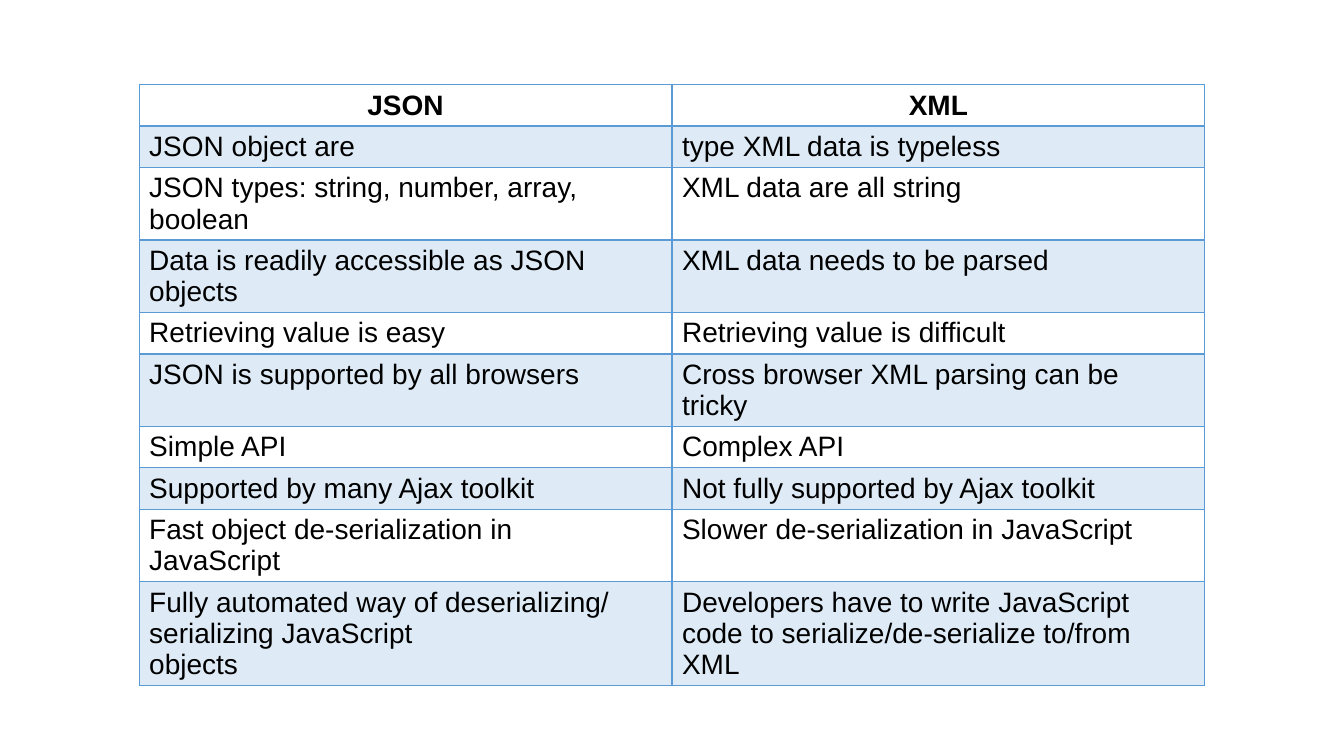
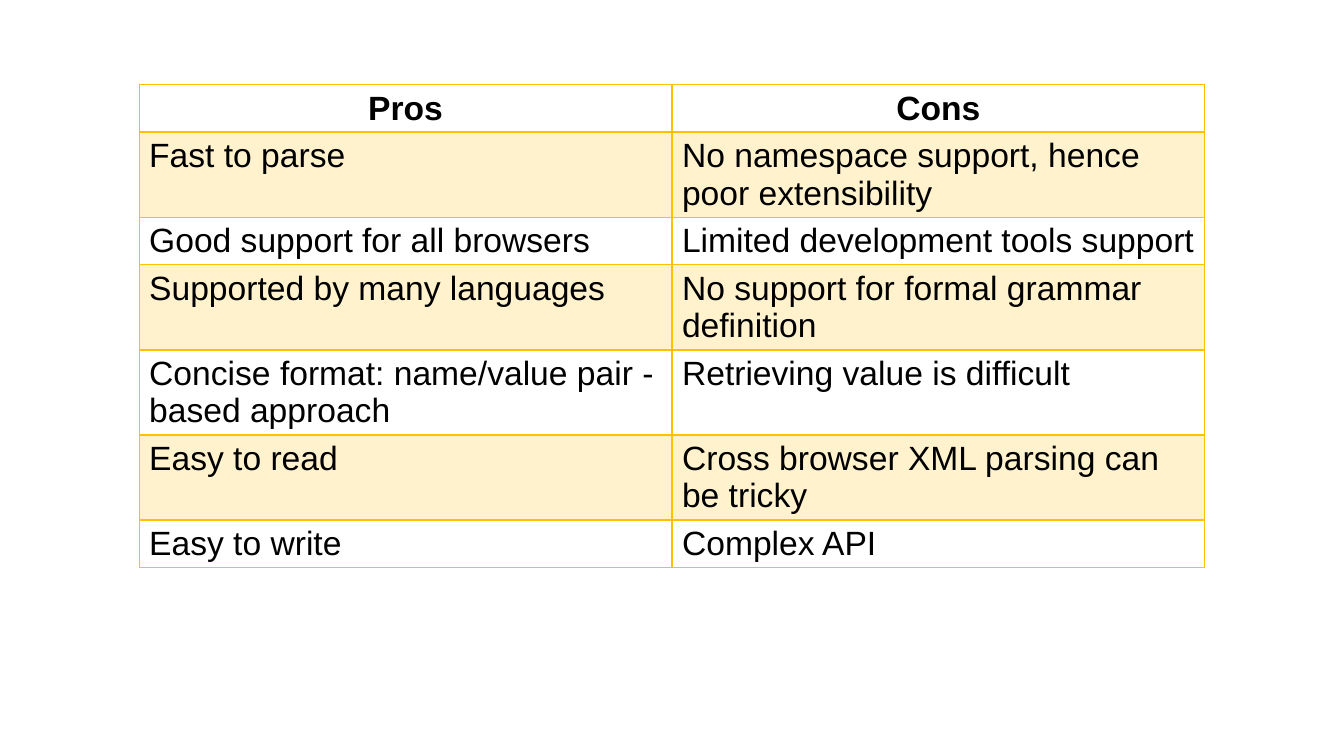
from dataclasses import dataclass

from lxml import etree
from pptx import Presentation
from pptx.dml.color import RGBColor
from pptx.enum.text import PP_ALIGN
from pptx.oxml.ns import qn
from pptx.util import Inches, Pt

CENTER, LEFT = PP_ALIGN.CENTER, PP_ALIGN.LEFT

# Each table: accent colour, text size, rows. A line break starts a new paragraph.
TABLES = [
    ("5B9BD5", 20, [
        ("JSON", "XML"),
        ("JSON object are", "type XML data is typeless"),
        ("JSON types: string, number, array,\nboolean", "XML data are all string"),
        ("Data is readily accessible as JSON\nobjects", "XML data needs to be parsed"),
        ("Retrieving value is easy", "Retrieving value is difficult"),
        ("JSON is supported by all browsers", "Cross browser XML parsing can be\ntricky"),
        ("Simple API", "Complex API"),
        ("Supported by many Ajax toolkit", "Not fully supported by Ajax toolkit"),
        ("Fast object de-serialization in\nJavaScript", "Slower de-serialization in JavaScript"),
        ("Fully automated way of deserializing/\nserializing JavaScript\nobjects",
         "Developers have to write JavaScript\ncode to serialize/de-serialize to/from\nXML"),
    ]),
    ("FFC000", 24, [
        ("Pros", "Cons"),
        ("Fast to parse", "No namespace support, hence poor extensibility"),
        ("Good support for all browsers", "Limited development tools support"),
        ("Supported by many languages", "No support for formal grammar\ndefinition"),
        ("Concise format: name/value pair -\nbased approach", "Retrieving value is difficult"),
        ("Easy to read", "Cross browser XML parsing can be tricky"),
        ("Easy to write", "Complex API"),
    ]),
]


@dataclass(frozen=True)
class Theme:
    """Look and layout shared by both slides, lengths in inches."""
    font: str = "Arial"
    ink: str = "000000"
    band_alpha: int = 20
    line: int = 1
    header_line: int = 2
    width: float = 13.33
    height: float = 7.5
    left: float = 1.38
    top: float = 0.84
    table_width: float = 10.57
    row_height: float = 0.41


THEME = Theme()


def add_borders(cell, color, row):
    """Outline a cell, with a heavier rule between header and body."""
    tc_pr = cell._tc.get_or_add_tcPr()
    widths = {
        "L": THEME.line,
        "R": THEME.line,
        "T": THEME.header_line if row == 1 else THEME.line,
        "B": THEME.header_line if row == 0 else THEME.line,
    }
    for side, width in widths.items():
        ln = etree.SubElement(tc_pr, qn(f"a:ln{side}"), w=str(Pt(width)))
        solid = etree.SubElement(ln, qn("a:solidFill"))
        etree.SubElement(solid, qn("a:srgbClr"), val=color)


def fill_cell(cell, color, banded):
    """Tint a banded cell with the accent, leave any other cell clear."""
    if not banded:
        cell.fill.background()
        return
    cell.fill.solid()
    cell.fill.fore_color.rgb = RGBColor.from_string(color)
    clr = cell._tc.tcPr.find(f"{qn('a:solidFill')}/{qn('a:srgbClr')}")
    etree.SubElement(clr, qn("a:alpha"), val=str(THEME.band_alpha * 1000))


def write_cell(cell, text, size, header):
    """Write one paragraph per line; headers are bold and centred."""
    tf = cell.text_frame
    for i, line in enumerate(text.split("\n")):
        p = tf.add_paragraph() if i else tf.paragraphs[0]
        p.alignment = CENTER if header else LEFT
        r = p.add_run()
        r.text = line
        r.font.name = THEME.font
        r.font.size = Pt(size)
        r.font.bold = header
        r.font.color.rgb = RGBColor.from_string(THEME.ink)


def add_comparison(s, color, size, rows):
    """Add a table with a header row and alternating bands."""
    n_rows, n_cols = len(rows), len(rows[0])
    table = s.shapes.add_table(
        n_rows, n_cols, Inches(THEME.left), Inches(THEME.top),
        Inches(THEME.table_width), Inches(THEME.row_height * n_rows)).table
    table.first_row = table.horz_banding = False
    for i, row in enumerate(rows):
        for j, text in enumerate(row):
            cell = table.cell(i, j)
            add_borders(cell, color, i)
            fill_cell(cell, color, banded=i % 2 == 1)
            write_cell(cell, text, size, header=i == 0)


def main():
    """Build one slide per table and save the presentation."""
    prs = Presentation()
    prs.slide_width, prs.slide_height = Inches(THEME.width), Inches(THEME.height)
    blank = prs.slide_layouts[6]
    for color, size, rows in TABLES:
        add_comparison(prs.slides.add_slide(blank), color, size, rows)
    prs.save("out.pptx")


main()
